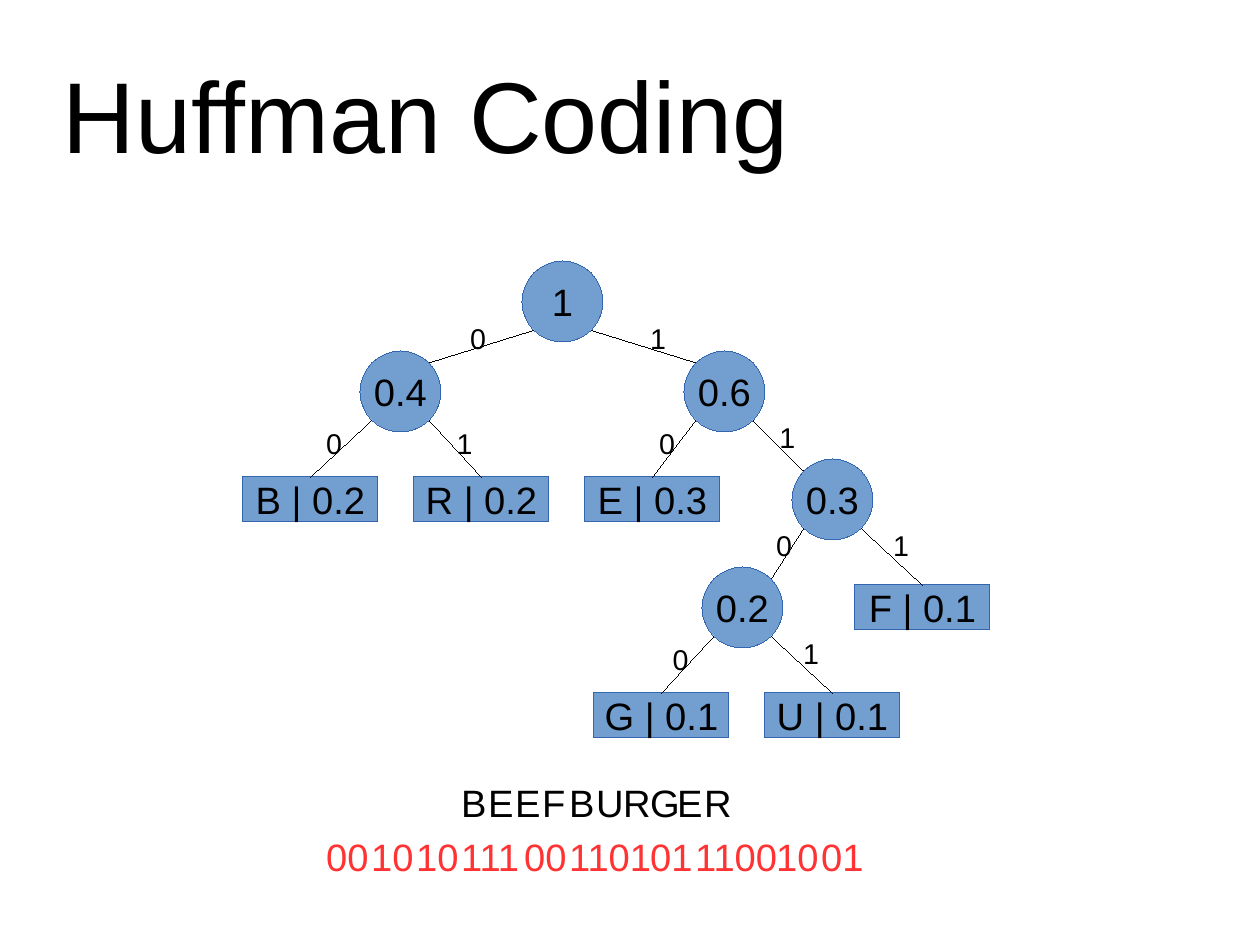
"""Build the Huffman coding slide: the code tree, the word and its encoding."""
from dataclasses import dataclass
from math import sqrt

from lxml.etree import SubElement
from pptx import Presentation
from pptx.dml.color import RGBColor
from pptx.enum.shapes import MSO_CONNECTOR, MSO_SHAPE
from pptx.enum.text import MSO_ANCHOR, MSO_AUTO_SIZE, PP_ALIGN
from pptx.oxml.ns import qn
from pptx.slide import Slide
from pptx.text.text import TextFrame
from pptx.util import Emu, Pt

EMU_PER_PX = 3600
DIAMETER = 180
LEAF_W, LEAF_H = 300, 100
CORNER = round(DIAMETER * (1 - 1 / sqrt(2)) / 2)


@dataclass(frozen=True)
class Theme:
    font: str = "Arial"
    ink: RGBColor = RGBColor(0x00, 0x00, 0x00)
    code: RGBColor = RGBColor(0xFF, 0x33, 0x33)
    fill: RGBColor = RGBColor(0x72, 0x9F, 0xCF)
    outline: RGBColor = RGBColor(0x34, 0x65, 0xAF)
    hairline: Pt = Pt(0.01)
    title: Pt = Pt(63.4)
    body: Pt = Pt(24)
    bit: Pt = Pt(18)


@dataclass(frozen=True)
class Node:
    text: str
    x: int
    y: int
    leaf: bool = False

    @property
    def size(self) -> tuple[int, int]:
        return (LEAF_W, LEAF_H) if self.leaf else (DIAMETER, DIAMETER)


@dataclass(frozen=True)
class Edge:
    parent: str
    child: str
    bit: int
    label_x: int
    label_y: int


THEME = Theme()
NODES = {
    "B": Node("B | 0.2", 540, 1060, True),
    "R": Node("R | 0.2", 920, 1060, True),
    "E": Node("E | 0.3", 1300, 1060, True),
    "G": Node("G | 0.1", 1320, 1540, True),
    "U": Node("U | 0.1", 1700, 1540, True),
    "F": Node("F | 0.1", 1900, 1300, True),
    "root": Node("1", 1160, 580),
    "BR": Node("0.4", 800, 780),
    "EFGU": Node("0.6", 1520, 780),
    "FGU": Node("0.3", 1760, 1020),
    "GU": Node("0.2", 1560, 1260),
}
EDGES = [
    Edge("root", "BR", 0, 1020, 700),
    Edge("root", "EFGU", 1, 1420, 700),
    Edge("BR", "B", 0, 700, 935),
    Edge("BR", "R", 1, 990, 935),
    Edge("EFGU", "E", 0, 1440, 935),
    Edge("EFGU", "FGU", 1, 1707, 920),
    Edge("FGU", "GU", 0, 1700, 1160),
    Edge("FGU", "F", 1, 1960, 1160),
    Edge("GU", "G", 0, 1470, 1415),
    Edge("GU", "U", 1, 1760, 1400),
]
WORD = "BEEFBURGER"


def px(*lengths: int) -> list[Emu]:
    return [Emu(n * EMU_PER_PX) for n in lengths]


def apply(target: object, **formats: object) -> None:
    for name, value in formats.items():
        setattr(target, name, value)


def write(tf: TextFrame, text: str, size: Pt, color: RGBColor = THEME.ink,
          align: PP_ALIGN = PP_ALIGN.LEFT) -> None:
    p = tf.paragraphs[0]
    p.alignment = align
    r = p.add_run()
    r.text = text
    apply(r.font, name=THEME.font, size=size)
    r.font.color.rgb = color


def add_text(s: Slide, box: tuple[int, int, int, int], text: str, size: Pt,
             color: RGBColor = THEME.ink, **frame: object) -> None:
    tf = s.shapes.add_textbox(*px(*box)).text_frame
    apply(tf, **{"word_wrap": True,
                 "auto_size": MSO_AUTO_SIZE.SHAPE_TO_FIT_TEXT, **frame})
    write(tf, text, size, color)


def add_node(s: Slide, node: Node) -> None:
    kind = MSO_SHAPE.RECTANGLE if node.leaf else MSO_SHAPE.OVAL
    sp = s.shapes.add_shape(kind, *px(node.x, node.y, *node.size))
    sp.shadow.inherit = False
    sp.fill.solid()
    sp.fill.fore_color.rgb = THEME.fill
    sp.line.color.rgb = THEME.outline
    sp.line.width = THEME.hairline
    apply(sp.text_frame, word_wrap=False, vertical_anchor=MSO_ANCHOR.MIDDLE)
    write(sp.text_frame, node.text, THEME.body, align=PP_ALIGN.CENTER)


def add_edge(s: Slide, edge: Edge) -> None:
    parent, child = NODES[edge.parent], NODES[edge.child]
    near, far = CORNER, DIAMETER - CORNER
    start = parent.x + (far if edge.bit else near), parent.y + far
    if child.leaf:
        end = child.x + LEAF_W // 2, child.y
    else:
        end = child.x + (near if edge.bit else far), child.y + near
    line = s.shapes.add_connector(MSO_CONNECTOR.STRAIGHT, *px(*start, *end))
    line.line.color.rgb = THEME.ink
    line.line.width = THEME.hairline
    SubElement(line._element.spPr, qn("a:effectLst"))


def code_of(letter: str) -> str:
    code, name = "", letter
    while name != "root":
        edge = next(e for e in EDGES if e.child == name)
        code, name = f"{edge.bit}{code}", edge.parent
    return code


def main() -> None:
    prs = Presentation()
    prs.slide_width, prs.slide_height = px(2800, 2100)
    s = prs.slides.add_slide(prs.slide_layouts[6])

    add_text(s, (140, 80, 1950, 345), "Huffman Coding", THEME.title,
             vertical_anchor=MSO_ANCHOR.MIDDLE, margin_left=0, margin_top=0,
             margin_right=0, margin_bottom=0)
    for node in NODES.values():
        add_node(s, node)
    for edge in EDGES:
        add_edge(s, edge)
    for edge in sorted(EDGES, key=lambda e: e.bit):
        add_text(s, (edge.label_x, edge.label_y, 80, 100), str(edge.bit), THEME.bit)

    for i, letter in enumerate(WORD):
        add_text(s, (1000 + 60 * i, 1720, 80, 120), letter, THEME.body)
    code_x = 700
    for code in map(code_of, WORD):
        width = 40 * len(code)
        add_text(s, (code_x, 1840, width + 82, 120), code, THEME.body, THEME.code)
        code_x += width + 20

    prs.save("out.pptx")


if __name__ == "__main__":
    main()
